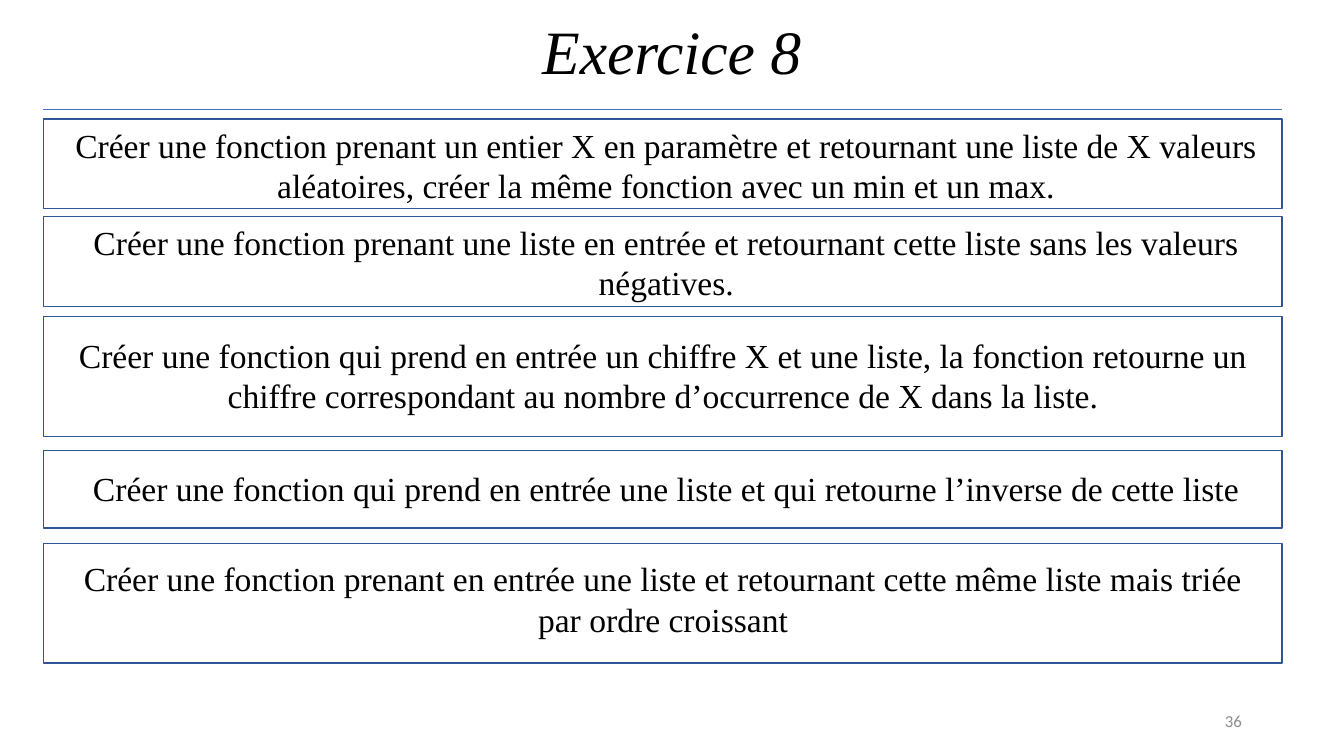
from pptx import Presentation
from pptx.dml.color import RGBColor
from pptx.enum.shapes import MSO_CONNECTOR, MSO_SHAPE
from pptx.enum.text import MSO_ANCHOR, MSO_AUTO_SIZE, PP_ALIGN
from pptx.oxml.ns import qn
from pptx.util import Cm, Pt
from lxml.etree import SubElement

COLORS = {"text": "000000", "page": "8C8C8C", "rule": "4472C4", "frame": "2F5597"}
SERIF = "Times New Roman"
LEFT, WIDTH = 1.09, 31.22

# frame top, frame height, text left, text top, text height, wording
TASKS = [
    (3.0, 2.26, 1.55, 3.02, 2.31,
     "Créer une fonction prenant un entier X en paramètre et retournant une liste "
     "de X valeurs aléatoires, créer la même fonction avec un min et un max."),
    (5.46, 2.26, 1.55, 5.46, 2.31,
     "Créer une fonction prenant une liste en entrée et retournant cette liste "
     "sans les valeurs négatives."),
    (7.98, 3.02, 1.47, 8.31, 2.31,
     "Créer une fonction qui prend en entrée un chiffre X et une liste, la fonction "
     "retourne un chiffre correspondant au nombre d’occurrence de X dans la liste."),
    (11.35, 1.96, 1.55, 11.66, 1.27,
     "Créer une fonction qui prend en entrée une liste et qui retourne l’inverse "
     "de cette liste"),
    (13.69, 3.02, 1.47, 13.94, 2.31,
     "Créer une fonction prenant en entrée une liste et retournant cette même liste "
     "mais triée par ordre croissant"),
]


class Deck:
    """Holds the current slide and draws styled elements on it, in centimetres."""

    def __init__(self):
        self.prs = Presentation()
        self.prs.slide_width, self.prs.slide_height = Cm(33.87), Cm(19.05)
        self.slide = self.prs.slides.add_slide(self.prs.slide_layouts[5])
        self.shapes = self.slide.shapes

    def fill(self, frame, text, size, font=SERIF, color="text",
             align=PP_ALIGN.CENTER, italic=False):
        """Put one styled run in the frame and return its paragraph."""
        frame.word_wrap = True
        para = frame.paragraphs[0]
        para.alignment = align
        run = para.add_run()
        run.text = text
        run.font.size, run.font.name, run.font.italic = Pt(size), font, italic
        run.font.color.rgb = RGBColor.from_string(COLORS[color])
        return para

    def stroke(self, line, color, width):
        line.color.rgb = RGBColor.from_string(COLORS[color])
        line.width = Pt(width)

    def title(self, text, x, y, w, h):
        box = self.shapes.title
        box.left, box.top, box.width, box.height = Cm(x), Cm(y), Cm(w), Cm(h)
        frame = box.text_frame
        frame.auto_size = MSO_AUTO_SIZE.NONE
        frame.vertical_anchor = MSO_ANCHOR.MIDDLE
        self.fill(frame, text, 44, italic=True).line_spacing = 0.9

    def rule(self, x, y, w):
        line = self.shapes.add_connector(
            MSO_CONNECTOR.STRAIGHT, Cm(x), Cm(y), Cm(x + w), Cm(y))
        self.stroke(line.line, "rule", 0.5)
        SubElement(line._element.spPr, qn("a:effectLst"))

    def frame(self, x, y, w, h):
        rect = self.shapes.add_shape(MSO_SHAPE.RECTANGLE, Cm(x), Cm(y), Cm(w), Cm(h))
        rect.shadow.inherit = False
        rect.fill.background()
        self.stroke(rect.line, "frame", 1)

    def text(self, text, x, y, w, h, size, anchor=MSO_ANCHOR.TOP, **style):
        box = self.shapes.add_textbox(Cm(x), Cm(y), Cm(w), Cm(h))
        box.text_frame.vertical_anchor = anchor
        self.fill(box.text_frame, text, size, **style)


def main():
    deck = Deck()
    deck.title("Exercice 8", 2.33, -0.46, 29.21, 3.68)
    deck.text("36", 23.93, 17.65, 7.62, 1.01, 12, MSO_ANCHOR.MIDDLE,
              font="Calibri", color="page", align=PP_ALIGN.RIGHT)
    deck.rule(LEFT, 2.75, WIDTH)
    for top, height, x, y, h, task in TASKS:
        deck.frame(LEFT, top, WIDTH, height)
        deck.text(task, x, y, 30.48, h, 24)
    deck.prs.save("out.pptx")


if __name__ == "__main__":
    main()
